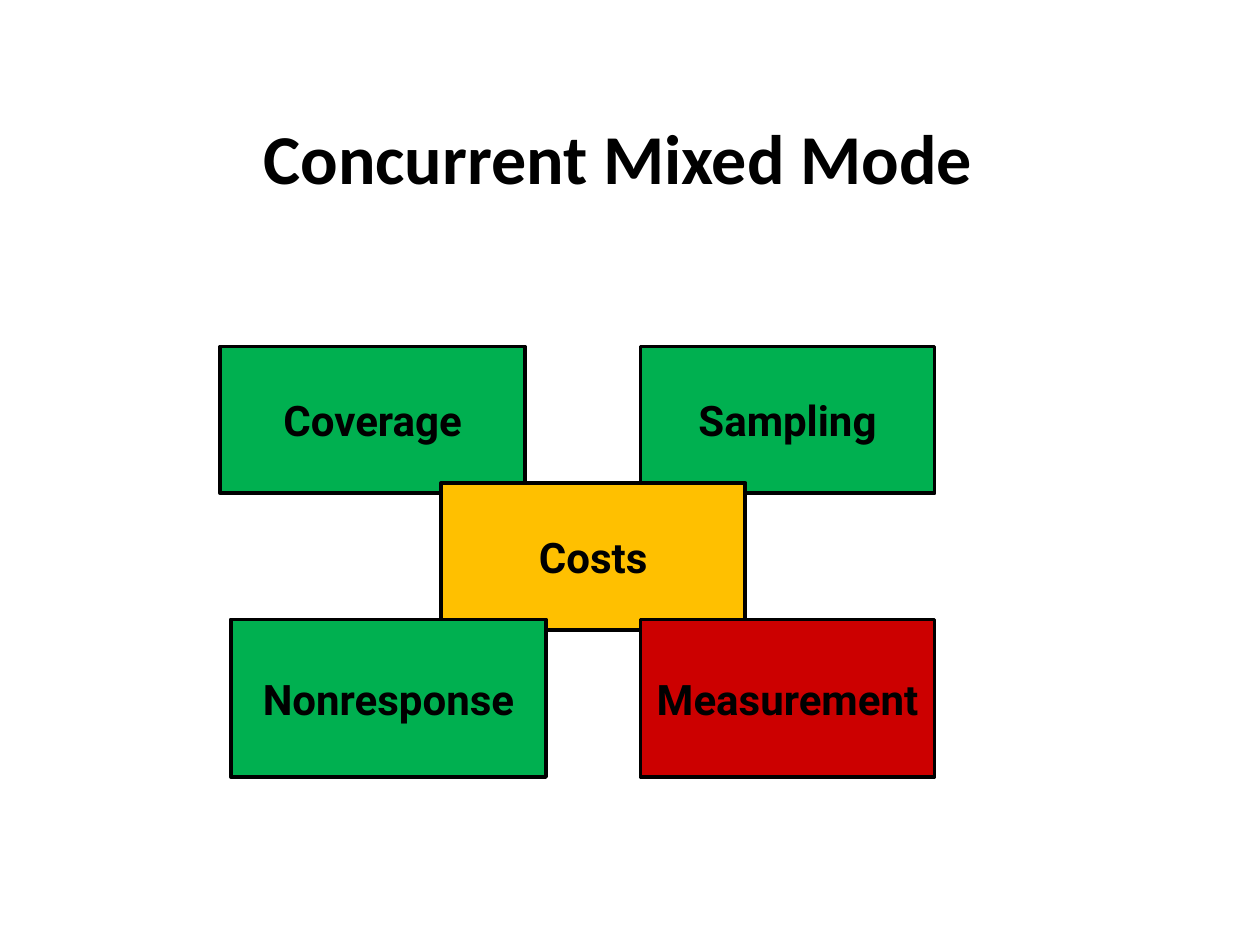
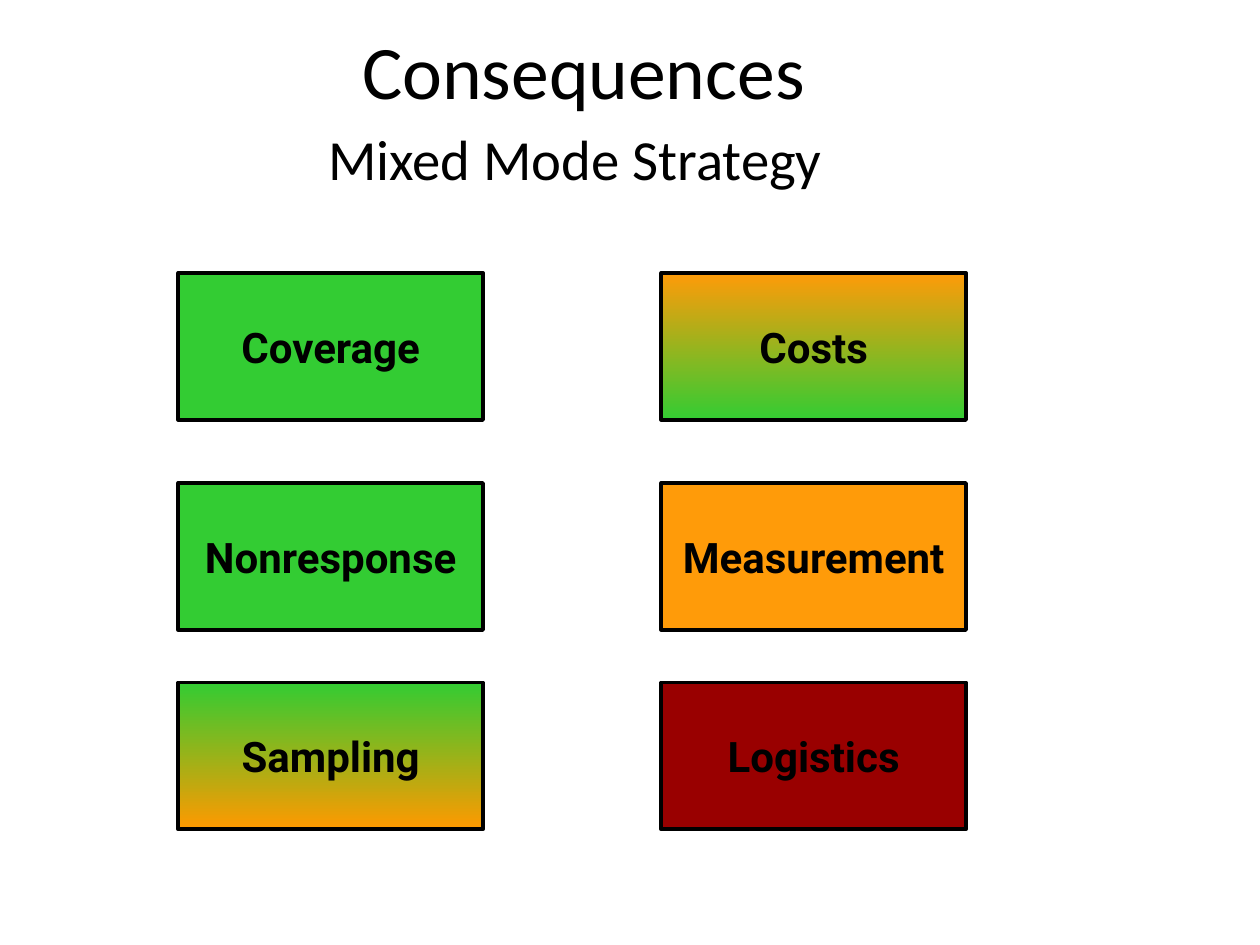
import itertools
from dataclasses import dataclass

import pptx
import pptx.dml.color
import pptx.enum.shapes
import pptx.enum.text
import pptx.util

Pt = pptx.util.Pt
RGBColor = pptx.dml.color.RGBColor


@dataclass(frozen=True)
class Theme:
    """Colours, fonts and type sizes shared by the slides."""
    ink: str = "000000"
    good: str = "00B050"
    caution: str = "FFC000"
    bad: str = "CC0000"
    gain: str = "33CC33"
    mixed: str = "FF9900"
    risk: str = "FF9B09"
    loss: str = "990000"
    title_font: str = "Calibri"
    label_font: str = "Roboto"
    title_size: float = 40
    heading_size: float = 43.2
    subheading_size: float = 32.4
    label_size: float = 24
    border: float = 2.25


THEME = Theme()


def apply_format(target, values):
    """Set each named attribute on the target."""
    for name, value in values.items():
        setattr(target, name, value)


def add_run(paragraph, text, font, size, bold):
    """Append a run of ink-coloured text."""
    run = paragraph.add_run()
    run.text = text
    apply_format(run.font, {"name": font, "size": Pt(size), "bold": bold})
    run.font.color.rgb = RGBColor.from_string(THEME.ink)


def add_title(slide, bounds, lines, spacing, bold=False):
    """Add a centred title; each line is a list of (text, size) pairs."""
    frame = slide.shapes.add_textbox(*map(Pt, bounds)).text_frame
    apply_format(frame, {"word_wrap": True,
                         "vertical_anchor": pptx.enum.text.MSO_ANCHOR.MIDDLE})
    paragraph = frame.paragraphs[0]
    apply_format(paragraph, {"alignment": pptx.enum.text.PP_ALIGN.CENTER,
                             "line_spacing": spacing})
    for index, line in enumerate(lines):
        if index:
            paragraph.add_line_break()
        for text, size in line:
            add_run(paragraph, text, THEME.title_font, size, bold)


def paint(fill, colours):
    """Fill with one colour, or with a gradient from top to bottom."""
    if len(colours) == 1:
        fill.solid()
        fill.fore_color.rgb = RGBColor.from_string(colours[0])
        return
    fill.gradient()
    fill.gradient_angle = 270
    for stop, colour in zip(fill.gradient_stops, colours):
        stop.color.rgb = RGBColor.from_string(colour)


def add_factor(slide, label, bounds, *colours):
    """Add a bordered box that names and rates one survey factor."""
    factor = slide.shapes.add_shape(
        pptx.enum.shapes.MSO_SHAPE.RECTANGLE, *map(Pt, bounds))
    factor.shadow.inherit = False
    paint(factor.fill, colours)
    factor.line.color.rgb = RGBColor.from_string(THEME.ink)
    factor.line.width = Pt(THEME.border)
    frame = factor.text_frame
    apply_format(frame, {"word_wrap": False,
                         "vertical_anchor": pptx.enum.text.MSO_ANCHOR.MIDDLE})
    paragraph = frame.paragraphs[0]
    paragraph.alignment = pptx.enum.text.PP_ALIGN.CENTER
    add_run(paragraph, label, THEME.label_font, THEME.label_size, True)


def build_concurrent(slide):
    """Draw the overlapping factors of the concurrent mixed mode."""
    add_title(slide, (74, 19, 558, 150),
              [[("Concurrent Mixed Mode", THEME.title_size)]], 0.8, bold=True)
    top, middle, bottom = (198 + 78 * row for row in range(3))
    right = 366
    for label, bounds, colour in (
            ("Coverage", (126, top, 174, 84), THEME.good),
            ("Sampling", (right, top, 168, 84), THEME.good),
            ("Costs", (252, middle, 174, 84), THEME.caution),
            ("Measurement", (right, bottom, 168, 90), THEME.bad),
            ("Nonresponse", (132, bottom, 180, 90), THEME.good)):
        add_factor(slide, label, bounds, colour)


def build_consequences(slide):
    """Draw the grid of consequences of the mixed mode strategy."""
    add_title(slide, (30, 24, 607, 84),
              [[("Consequences", THEME.heading_size)],
               [("Mixed Mode Strategy", THEME.subheading_size),
                (" ", THEME.heading_size)]], 0.9)
    cells = itertools.product((156, 276, 390), (102, 378))
    factors = (("Coverage", THEME.gain),
               ("Costs", THEME.risk, THEME.gain),
               ("Nonresponse", THEME.gain),
               ("Measurement", THEME.risk),
               ("Sampling", THEME.gain, THEME.mixed),
               ("Logistics", THEME.loss))
    for (top, left), (label, *colours) in zip(cells, factors):
        add_factor(slide, label, (left, top, 174, 84), *colours)


def main():
    """Build both slides and save the presentation."""
    deck = pptx.Presentation()
    apply_format(deck, {"slide_width": Pt(720), "slide_height": Pt(540)})
    for build in (build_concurrent, build_consequences):
        build(deck.slides.add_slide(deck.slide_layouts[6]))
    deck.save("out.pptx")


if __name__ == "__main__":
    main()
